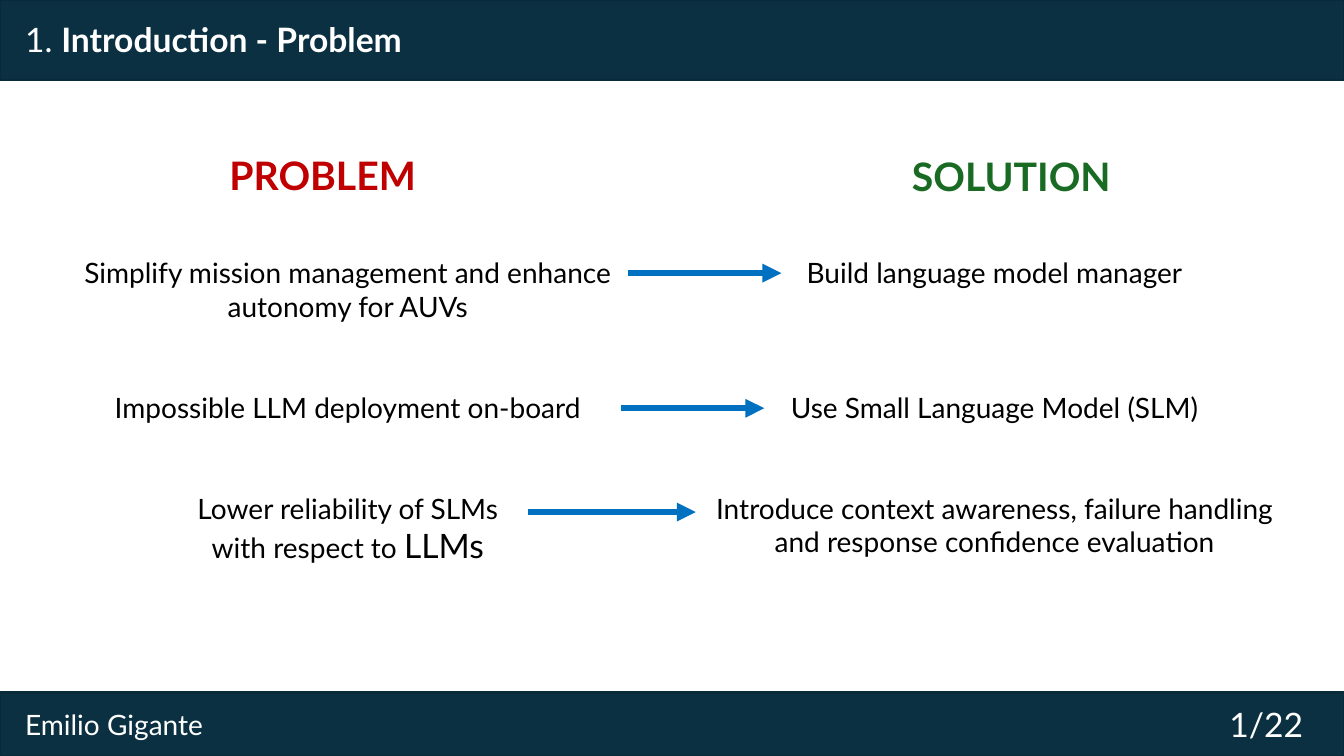
from lxml import etree
from pptx import Presentation
from pptx.dml.color import RGBColor
from pptx.enum.shapes import MSO_CONNECTOR, MSO_SHAPE
from pptx.enum.text import MSO_ANCHOR, MSO_AUTO_SIZE, PP_ALIGN as ALIGN
from pptx.oxml.ns import qn
from pptx.util import Inches, Pt

NAVY = RGBColor(0x0B, 0x30, 0x41)
NAVY_EDGE = RGBColor(0x09, 0x2A, 0x39)
WHITE = RGBColor(0xFF, 0xFF, 0xFF)
BLACK = RGBColor(0, 0, 0)
RED = RGBColor(0xC0, 0, 0)
GREEN = RGBColor(0x19, 0x6B, 0x24)
BLUE = RGBColor(0, 0x70, 0xC0)

FONT = "Lato"
LINE = 24  # height in points of one line of 20 pt text

# Each paragraph: lines of space before it, then its (text, size) spans
PROBLEMS = [
    (0, [("Simplify mission management and enhance autonomy for AUVs", 20)]),
    (2, [("Impossible LLM deployment on-board", 20)]),
    (2, [("Lower reliability of SLMs", 20)]),
    (0, [("with respect to ", 20), ("LLMs", 24)]),
]
SOLUTIONS = [
    (0, [("Build language model manager", 20)]),
    (3, [("Use Small Language Model (SLM)", 20)]),
    (2, [("Introduce context awareness, failure handling", 20)]),
    (0, [("and response confidence evaluation", 20)]),
]
ARROWS = [(6.23, 7.75, 2.71), (6.16, 7.58, 4.05), (5.24, 6.9, 5.08)]


def style(font, size, color, bold=False):
    font.name = FONT
    font.size = Pt(size)
    font.bold = bold
    font.color.rgb = color


def add_bar(page, top, height):
    bar = page.shapes.add_shape(
        MSO_SHAPE.RECTANGLE, 0, Inches(top), Inches(13.33), Inches(height))
    bar.shadow.inherit = False
    bar.fill.solid()
    bar.fill.fore_color.rgb = NAVY
    bar.line.color.rgb = NAVY_EDGE
    bar.line.width = Pt(1.5)


def place_title(page, number, text):
    title = page.shapes.title
    title.left, title.top = Inches(0.15), Inches(0.14)
    title.width, title.height = Inches(9.6), Inches(0.5)
    frame = title.text_frame
    frame.auto_size = MSO_AUTO_SIZE.NONE
    frame.vertical_anchor = MSO_ANCHOR.TOP
    para = frame.paragraphs[0]
    para.alignment = ALIGN.LEFT
    for words, bold in ((number, False), (text, True)):
        span = para.add_run()
        span.text = words
        style(span.font, 24, WHITE, bold)
    # Bring the title in front of the header bar
    title.element.getparent().append(title.element)


def add_box(page, left, top, width, height):
    box = page.shapes.add_textbox(
        Inches(left), Inches(top), Inches(width), Inches(height))
    box.text_frame.word_wrap = True
    return box.text_frame


def add_label(page, place, text, size, color, bold=False, align=ALIGN.CENTER):
    para = add_box(page, *place).paragraphs[0]
    para.text = text
    para.alignment = align
    style(para.font, size, color, bold)


def add_column(page, place, points):
    frame = add_box(page, *place)
    for index, (gap, spans) in enumerate(points):
        para = frame.add_paragraph() if index else frame.paragraphs[0]
        para.alignment = ALIGN.CENTER
        para.space_before = Pt(gap * LINE)
        for words, size in spans:
            span = para.add_run()
            span.text = words
            style(span.font, size, BLACK)


def add_arrow(page, start, end, y):
    arrow = page.shapes.add_connector(
        MSO_CONNECTOR.STRAIGHT, Inches(start), Inches(y), Inches(end), Inches(y))
    arrow.line.color.rgb = BLUE
    arrow.line.width = Pt(4.5)
    properties = arrow.element.spPr
    etree.SubElement(properties.find(qn("a:ln")), qn("a:tailEnd"), type="triangle")
    etree.SubElement(properties, qn("a:effectLst"))


def main():
    deck = Presentation()
    deck.slide_width, deck.slide_height = Inches(13.33), Inches(7.5)
    page = deck.slides.add_slide(deck.slide_layouts.get_by_name("Title Only"))

    # Header and footer
    add_bar(page, 0, 0.79)
    add_bar(page, 6.87, 0.63)
    place_title(page, "1. ", "Introduction - Problem")
    add_label(page, (0.15, 6.97, 2.41, 0.44), "Emilio Gigante", 20, WHITE,
              align=ALIGN.LEFT)
    add_label(page, (11.93, 6.93, 1.26, 0.5), "1/22", 24, WHITE)

    # Problem and solution columns
    add_label(page, (0, 1.45, 6.4, 0.57), "PROBLEM", 28, RED, bold=True)
    add_label(page, (6.73, 1.46, 6.6, 0.57), "SOLUTION", 28, GREEN, bold=True)
    add_column(page, (0.5, 2.49, 5.9, 3.2), PROBLEMS)
    add_column(page, (6.4, 2.49, 6.93, 3.13), SOLUTIONS)

    # Arrows from each problem to its solution
    for start, end, y in ARROWS:
        add_arrow(page, start, end, y)

    deck.save("out.pptx")


if __name__ == "__main__":
    main()
